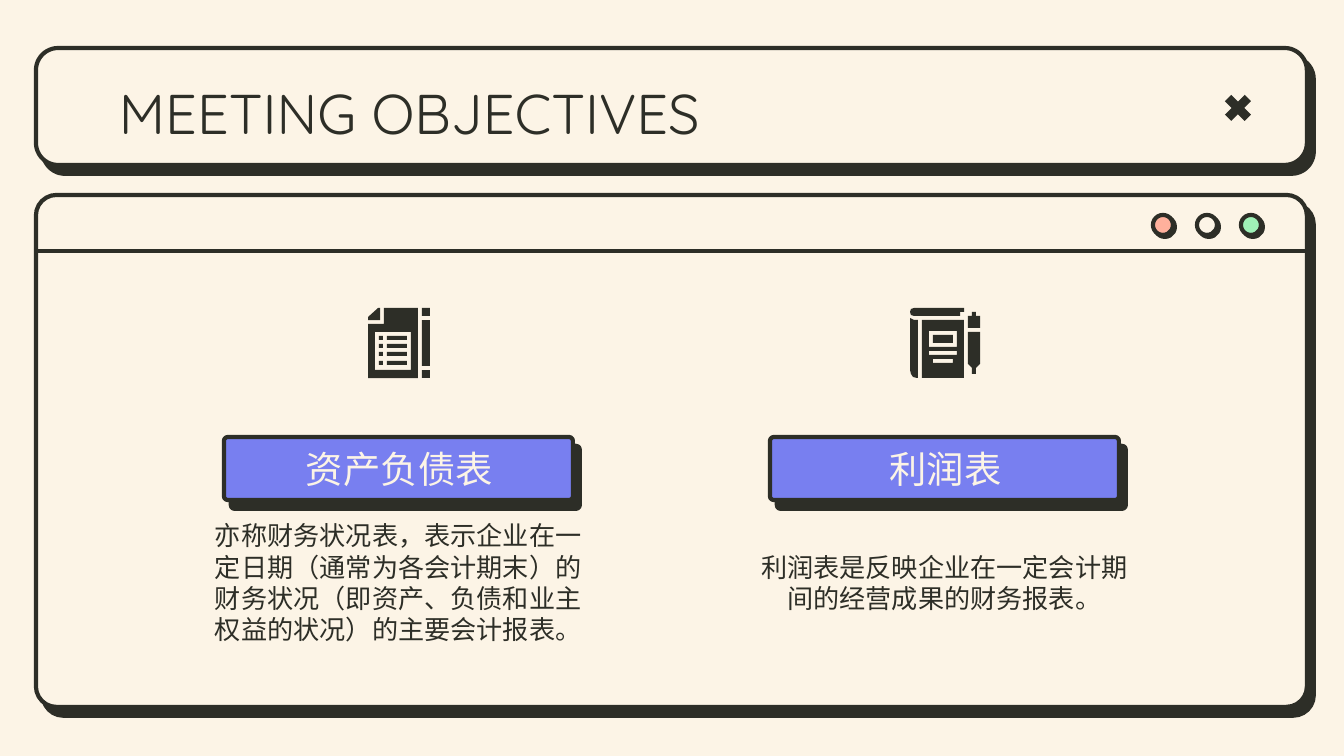
from lxml import etree
from pptx import Presentation
from pptx.dml.color import RGBColor
from pptx.enum.shapes import MSO_CONNECTOR, MSO_SHAPE
from pptx.enum.text import MSO_ANCHOR, PP_ALIGN
from pptx.oxml.ns import qn
from pptx.util import Emu, Pt

SCALE = 914400 / 134.4  # EMU per px

ROUND_RECT = MSO_SHAPE.ROUNDED_RECTANGLE
RECT = MSO_SHAPE.RECTANGLE
OVAL = MSO_SHAPE.OVAL
CROSS = MSO_SHAPE.MATH_MULTIPLY
STRAIGHT = MSO_CONNECTOR.STRAIGHT
TOP, MIDDLE = MSO_ANCHOR.TOP, MSO_ANCHOR.MIDDLE
LEFT, CENTER = PP_ALIGN.LEFT, PP_ALIGN.CENTER

CREAM = RGBColor(0xFC, 0xF4, 0xE6)
INK = RGBColor(0x2D, 0x2E, 0x27)
VIOLET = RGBColor(0x78, 0x7F, 0xF0)
CORAL = RGBColor(0xFF, 0xB0, 0x9C)
MINT = RGBColor(0x9F, 0xF1, 0xB7)

OUTLINE = Pt(2.25)
HEADING_FONT, BODY_FONT = "Quicksand", "Inter"
WINDOW_LEFT, WINDOW_WIDTH = 36, 1271
DIVIDER_Y = 251
DOT_PITCH = 44
COLUMN_PITCH = 546

STATEMENTS = [
    ("资产负债表",
     "亦称财务状况表，表示企业在一定日期（通常为各会计期末）的"
     "财务状况（即资产、负债和业主权益的状况）的主要会计报表。"),
    ("利润表", "利润表是反映企业在一定会计期间的经营成果的财务报表。"),
]


def px(value):
    return Emu(round(value * SCALE))


def add_solid(slide, kind, box, color, adjust=None):
    """Borderless preset shape; box is left, top, width, height."""
    shape = slide.shapes.add_shape(kind, *map(px, box))
    if adjust is not None:
        shape.adjustments[0] = adjust
    shape.shadow.inherit = False
    shape.fill.solid()
    shape.fill.fore_color.rgb = color
    shape.line.fill.background()
    return shape


def add_raised(slide, kind, box, color, distance, angle, adjust=None):
    """Outlined shape with a hard offset shadow."""
    shape = add_solid(slide, kind, box, color, adjust)
    shape.line.color.rgb = INK
    shape.line.width = OUTLINE
    effects = shape._element.spPr.find(qn("a:effectLst"))
    shadow = etree.SubElement(
        effects, qn("a:outerShdw"), blurRad="0", dist=str(Pt(distance)),
        dir=str(angle * 60000), algn="bl", rotWithShape="0")
    etree.SubElement(shadow, qn("a:srgbClr"), val=str(INK))


def add_text(slide, box, text, font, size, color, align=CENTER, anchor=MIDDLE):
    frame = slide.shapes.add_textbox(*map(px, box)).text_frame
    frame.word_wrap = True
    frame.vertical_anchor = anchor
    frame.margin_left = frame.margin_right = px(13)
    frame.margin_top = frame.margin_bottom = px(13)
    frame.text = text
    paragraph = frame.paragraphs[0]
    paragraph.alignment = align
    run_font = paragraph.runs[0].font
    run_font.name = font
    run_font.size = Pt(size)
    run_font.color.rgb = color


def add_outline(slide, *contours):
    """Ink-filled freeform; contours run against each other to cut holes."""
    builder = slide.shapes.build_freeform(*contours[0][0], scale=SCALE)
    for number, (start, *rest) in enumerate(contours):
        if number:
            builder.move_to(*start)
        builder.add_line_segments(rest, close=True)
    shape = builder.convert_to_shape()
    shape.shadow.inherit = False
    shape.fill.solid()
    shape.fill.fore_color.rgb = INK
    shape.line.fill.background()


def hole(left, top, right, bottom):
    return [(right, top), (right, bottom), (left, bottom), (left, top)]


def draw_windows(slide):
    # Content window with its three dots
    add_raised(slide, ROUND_RECT, (WINDOW_LEFT, 195, WINDOW_WIDTH, 512),
               CREAM, 6, 52, 0.04)
    for number, color in enumerate((CORAL, CREAM, MINT)):
        add_raised(slide, OVAL, (1153 + number * DOT_PITCH, 215, 20, 20),
                   color, 1.5, 45)
    divider = slide.shapes.add_connector(
        STRAIGHT, px(WINDOW_LEFT), px(DIVIDER_Y),
        px(WINDOW_LEFT + WINDOW_WIDTH), px(DIVIDER_Y))
    divider.line.color.rgb = INK
    divider.line.width = OUTLINE
    etree.SubElement(divider._element.spPr, qn("a:effectLst"))

    # Title bar with its close mark
    add_raised(slide, ROUND_RECT, (WINDOW_LEFT, 48, WINDOW_WIDTH, 117),
               CREAM, 6, 52, 0.19)
    add_solid(slide, CROSS, (1219, 89, 38, 38), INK, 0.235)
    add_text(slide, (106, 66, 1133, 85), "MEETING OBJECTIVES",
             HEADING_FONT, 30, INK, LEFT, TOP)


def draw_statement(slide, offset, name, description):
    add_raised(slide, ROUND_RECT, (224 + offset, 437, 349, 63),
               VIOLET, 6, 52, 0.06)
    add_text(slide, (249 + offset, 437, 301, 63), name,
             HEADING_FONT, 20, CREAM)
    add_text(slide, (195 + offset, 520, 407, 125), description,
             BODY_FONT, 14, INK)


def draw_document_icon(slide):
    # Page with a folded corner
    add_outline(slide, hole(375, 332, 411, 370),
                [(384, 308), (384, 324), (368, 324), (368, 378),
                 (418, 378), (418, 308)])
    add_outline(slide, [(378, 308), (368, 317), (368, 320),
                        (380, 320), (380, 308)])
    # List rows
    for row in range(4):
        top = 336 + row * 25 // 3
        add_solid(slide, RECT, (379, top, 4, 4), INK)
        add_solid(slide, RECT, (387, top, 20, 4), INK)
    # Pencil
    for top, height in ((308, 8), (320, 46), (370, 8)):
        add_solid(slide, RECT, (422, top, 8, height), INK)


def draw_book_icon(slide):
    # Spine and top edge
    add_outline(slide, [(910, 318), (910, 370), (911, 374), (913, 377),
                        (917, 378), (918, 378), (918, 320), (914, 320)])
    add_outline(slide, [(914, 308), (911, 309), (910, 312), (911, 315),
                        (914, 316), (960, 316), (960, 312), (964, 312),
                        (964, 308)])
    # Cover with its label
    add_outline(slide, hole(929, 331, 957, 347), hole(929, 351, 957, 355),
                hole(933, 359, 953, 363),
                [(922, 320), (922, 378), (964, 378), (964, 320)])
    add_solid(slide, RECT, (933, 335, 20, 8), INK)
    # Pen cap and barrel
    add_outline(slide, [(972, 312), (972, 316), (968, 316), (968, 328),
                        (980, 328), (980, 316), (976, 316), (976, 312)])
    add_outline(slide, [(968, 332), (968, 364), (972, 368), (972, 374),
                        (976, 374), (976, 368), (980, 364), (980, 332)])


def main():
    deck = Presentation()
    deck.slide_width, deck.slide_height = px(1344), px(756)
    slide = deck.slides.add_slide(deck.slide_layouts[6])
    slide.background.fill.solid()
    slide.background.fill.fore_color.rgb = CREAM

    draw_windows(slide)
    for number, (name, description) in enumerate(STATEMENTS):
        draw_statement(slide, number * COLUMN_PITCH, name, description)
    draw_document_icon(slide)
    draw_book_icon(slide)
    deck.save("out.pptx")


if __name__ == "__main__":
    main()
